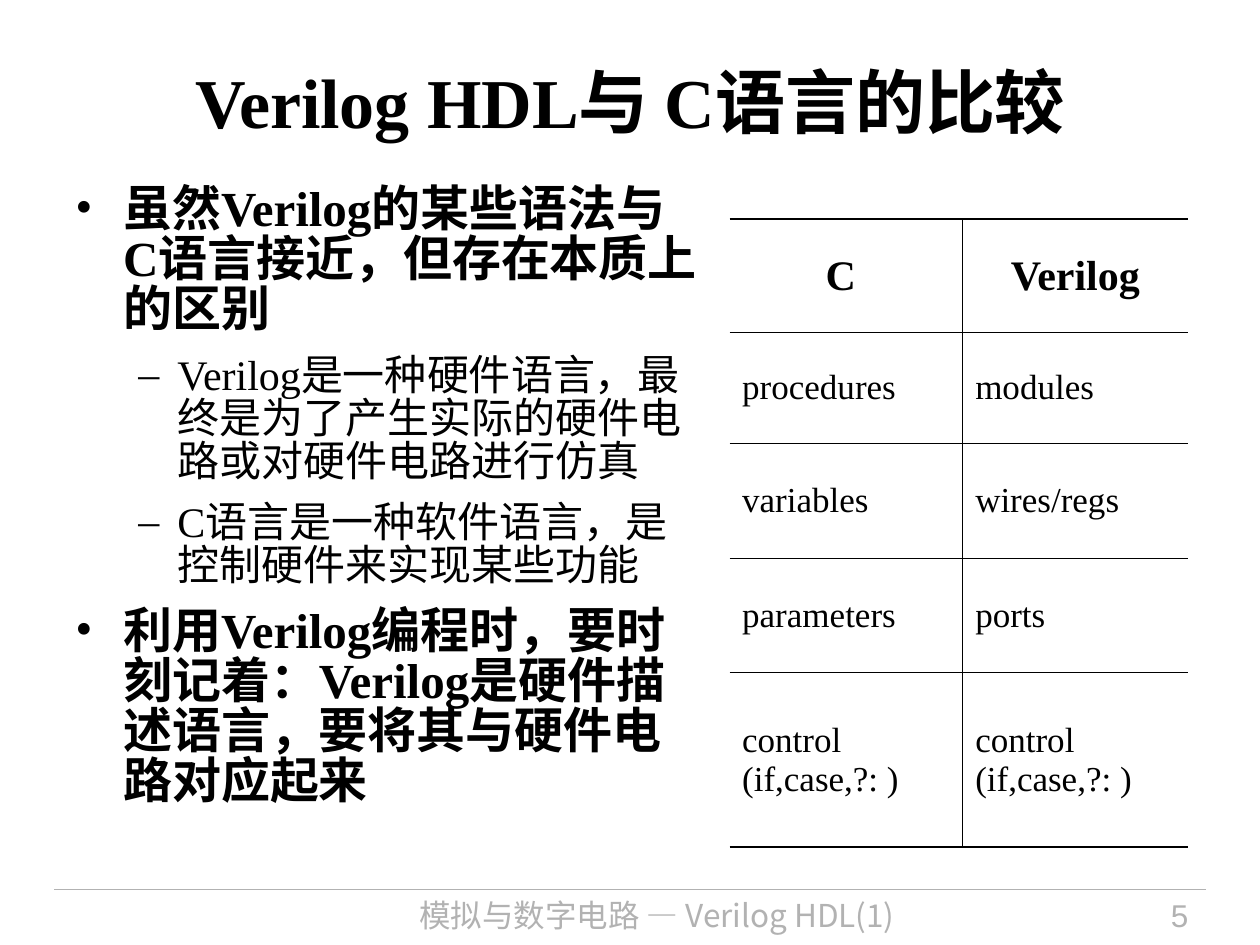
import dataclasses

import pptx
import pptx.dml.color
import pptx.enum.shapes
import pptx.enum.text
import pptx.oxml
import pptx.oxml.ns
import pptx.util
from pptx.util import Inches

RGBColor = pptx.dml.color.RGBColor
Align = pptx.enum.text.PP_ALIGN
Anchor = pptx.enum.text.MSO_ANCHOR
BLACK = RGBColor(0x00, 0x00, 0x00)
GRAY = RGBColor(0xB2, 0xB2, 0xB2)
SERIF = "Times New Roman"
HAN = "Noto Sans CJK SC"
THICK, THIN = 1.08, 0.45


@dataclasses.dataclass(frozen=True)
class Level:
    size: float
    bold: bool
    bullet: str
    margin: float
    indent: float
    before: float
    after: float


POINT = Level(28, True, "•", 0.38, -0.38, 5.2, 7)
DETAIL = Level(24, False, "–", 0.81, -0.31, 4.5, 6)

BODY = [
    (POINT, "虽然Verilog的某些语法与C语言接近，但存在本质上的区别"),
    (DETAIL, "Verilog是一种硬件语言，最终是为了产生实际的硬件电路或对硬件电路进行仿真"),
    (DETAIL, "C语言是一种软件语言，是控制硬件来实现某些功能"),
    (POINT, "利用Verilog编程时，要时刻记着：Verilog是硬件描述语言，要将其与硬件电路对应起来"),
]

COMPARISON = [
    ("C ", "Verilog"),
    ("procedures", "modules"),
    ("variables", "wires/regs"),
    ("parameters", "ports"),
    ("control (if,case,?: )", "control (if,case,?: )"),
]
COLUMN_WIDTHS = [1.85, 1.79]
ROW_HEIGHTS = [0.9, 0.88, 0.91, 0.91, 1.38]
RULES = [THICK, THICK, THIN, THIN, THIN, THICK]


def make_element(tag: str, content: str = "", **attributes: object):
    settings = "".join(f' {name}="{value}"' for name, value in attributes.items())
    namespace = pptx.oxml.ns.nsdecls("a")
    return pptx.oxml.parse_xml(f"<a:{tag} {namespace}{settings}>{content}</a:{tag}>")


def write(para, text: str, *, size: float, font: str = SERIF, color: RGBColor = BLACK,
          bold: bool = False, align=Align.LEFT, after: float = 0) -> None:
    para.alignment = align
    para.space_after = pptx.util.Pt(after)
    span = para.add_run()
    span.text = text
    span.font.size = pptx.util.Pt(size)
    span.font.name = font
    span.font.bold = bold
    span.font.color.rgb = color
    latin = span.font._element.find(pptx.oxml.ns.qn("a:latin"))
    latin.addnext(make_element("ea", typeface=HAN))


def add_box(page, left: float, top: float, width: float, height: float, anchor=Anchor.TOP):
    box = page.shapes.add_textbox(Inches(left), Inches(top), Inches(width), Inches(height))
    box.text_frame.word_wrap = True
    box.text_frame.vertical_anchor = anchor
    return box.text_frame


def add_body(page) -> None:
    frame = add_box(page, 0.5, 1.43, 5.13, 5.55)
    for index, (level, text) in enumerate(BODY):
        para = frame.add_paragraph() if index else frame.paragraphs[0]
        write(para, text, size=level.size, bold=level.bold, after=level.after)
        para.space_before = pptx.util.Pt(level.before)
        para.line_spacing = 0.85
        properties = para._p.get_or_add_pPr()
        properties.set("marL", str(Inches(level.margin)))
        properties.set("indent", str(Inches(level.indent)))
        properties.append(make_element("buClr", f'<a:srgbClr val="{BLACK}"/>'))
        properties.append(make_element("buFont", typeface=SERIF))
        properties.append(make_element("buChar", char=level.bullet))


def set_borders(cell, **widths: float) -> None:
    properties = cell._tc.get_or_add_tcPr()
    fill = f'<a:solidFill><a:srgbClr val="{BLACK}"/></a:solidFill>'
    for position, side in enumerate(("L", "R", "T", "B")):
        width = widths.get(side, 0)
        content = fill if width else "<a:noFill/>"
        edge = make_element(f"ln{side}", content, w=int(pptx.util.Pt(width)))
        properties.insert(position, edge)


def add_comparison(page) -> None:
    graphic = page.shapes.add_table(
        len(ROW_HEIGHTS), len(COLUMN_WIDTHS), Inches(5.79), Inches(1.74),
        Inches(sum(COLUMN_WIDTHS)), Inches(sum(ROW_HEIGHTS)))
    table = graphic.table
    table.first_row = False
    table.horz_banding = False
    for column, width in zip(table.columns, COLUMN_WIDTHS):
        column.width = Inches(width)
    for row_index, words in enumerate(COMPARISON):
        table.rows[row_index].height = Inches(ROW_HEIGHTS[row_index])
        heading = row_index == 0
        for column_index, word in enumerate(words):
            cell = table.cell(row_index, column_index)
            cell.fill.background()
            cell.vertical_anchor = Anchor.MIDDLE
            write(cell.text_frame.paragraphs[0], word, size=24 if heading else 20,
                  bold=heading, align=Align.CENTER if heading else Align.LEFT,
                  after=6 if heading else 5)
            inner = "L" if column_index else "R"
            set_borders(cell, T=RULES[row_index], B=RULES[row_index + 1], **{inner: THICK})


def add_footer(page) -> None:
    rule = page.shapes.add_connector(
        pptx.enum.shapes.MSO_CONNECTOR.STRAIGHT,
        Inches(0.43), Inches(7.06), Inches(9.57), Inches(7.06))
    rule.line.color.rgb = GRAY
    rule.line.width = pptx.util.Pt(0.75)
    rule._element.spPr.append(make_element("effectLst"))
    course = add_box(page, 2.4, 7.06, 5.63, 0.44)
    write(course.paragraphs[0], "模拟与数字电路 — Verilog HDL(1)", size=18, font=HAN,
          color=GRAY, align=Align.CENTER)
    number = add_box(page, 8.2, 7.06, 1.33, 0.44)
    write(number.paragraphs[0], "5", size=18, font="Arial", color=GRAY, align=Align.RIGHT)


def main() -> None:
    deck = pptx.Presentation()
    deck.slide_width = Inches(10)
    deck.slide_height = Inches(7.5)
    page = deck.slides.add_slide(deck.slide_layouts[6])
    add_footer(page)
    title = add_box(page, 0.5, 0.17, 9, 1.25, anchor=Anchor.MIDDLE)
    write(title.paragraphs[0], "Verilog HDL与 C语言的比较", size=40, bold=True,
          align=Align.CENTER)
    add_body(page)
    add_comparison(page)
    deck.save("out.pptx")


if __name__ == "__main__":
    main()
